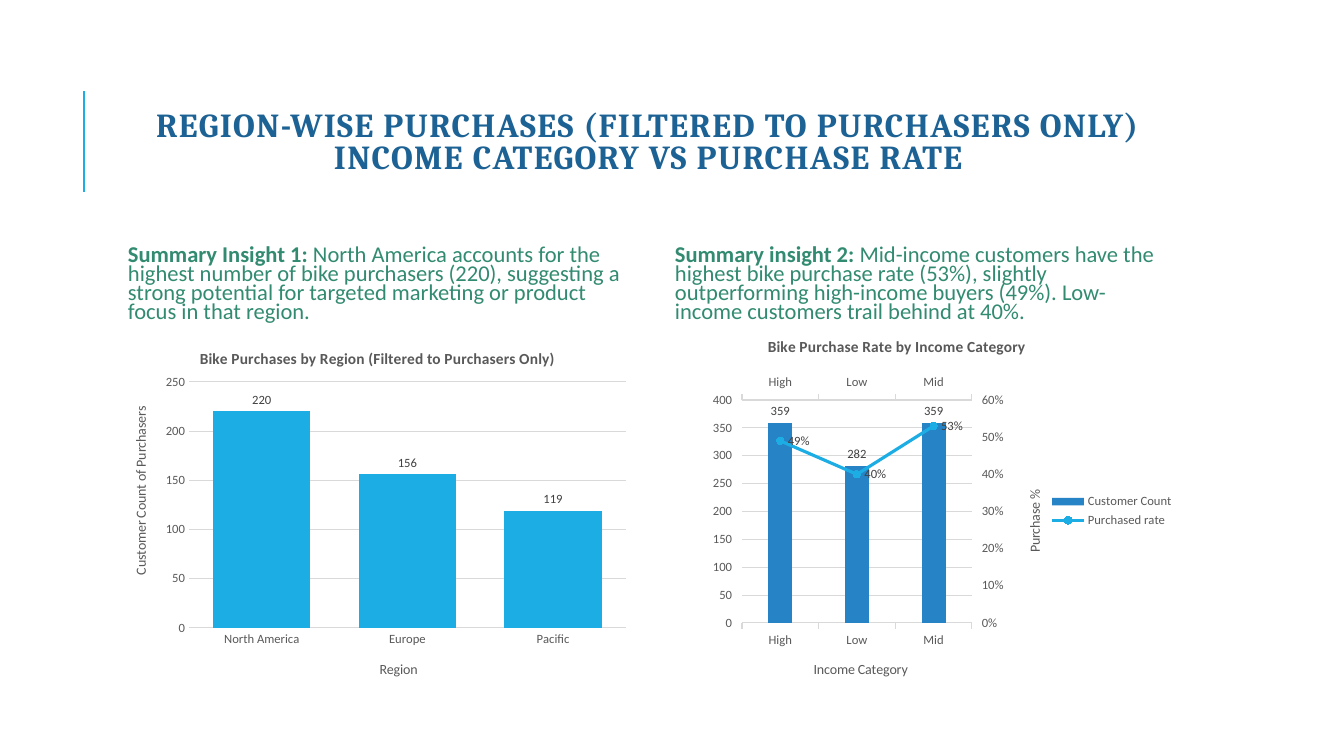
from copy import deepcopy
from pptx import Presentation
from pptx.chart.axis import CategoryAxis as CatAx, ValueAxis as ValAx
from pptx.chart.data import CategoryChartData as Data
from pptx.dml.color import RGBColor as RGB
from pptx.enum.chart import XL_CHART_TYPE as Kind, XL_LABEL_POSITION as Spot
from pptx.enum.chart import XL_LEGEND_POSITION as Side, XL_MARKER_STYLE as Mark
from pptx.enum.chart import XL_TICK_MARK as Tick
from pptx.enum.shapes import MSO_CONNECTOR as Line
from pptx.enum.text import MSO_ANCHOR as Anchor, PP_ALIGN as Align
from pptx.oxml import parse_xml
from pptx.oxml.ns import nsdecls, qn
from pptx.util import Emu, Pt

COLORS = {"sky": "1CADE4", "blue": "2683C6", "navy": "1D6294", "green": "328B71",
          "gray": "595959", "dark": "404040", "grid": "D9D9D9", "black": "000000"}
SCALE = 914400 / 100.8


def px(n):
    return Emu(round(n * SCALE))


def rgb(name):
    return RGB.from_string(COLORS[name])


def style(font, size, color, bold=False, face="Calibri"):
    font.size, font.bold, font.name = Pt(size), bold, face
    font.color.rgb = rgb(color)


def stroke(line, color, width):
    line.color.rgb = rgb(color)
    line.width = Pt(width)


def text_box(slide, box, side=10, foot=5):
    frame = slide.shapes.add_textbox(*map(px, box)).text_frame
    frame.word_wrap = True
    frame.vertical_anchor = Anchor.MIDDLE
    frame.margin_left = frame.margin_right = px(side)
    frame.margin_top, frame.margin_bottom = px(5), px(foot)
    return frame


def header(slide, box):
    x, y, w, h = box
    bar = slide.shapes.add_connector(Line.STRAIGHT, *map(px, (x - 29, y + 128, x - 29, y + 27)))
    stroke(bar.line, "sky", 1.5)
    bar._element.spPr.append(parse_xml(f"<a:effectLst {nsdecls('a')}/>"))
    para = text_box(slide, box, foot=11).paragraphs[0]
    para.text = ("REGION-WISE PURCHASES (FILTERED TO PURCHASERS ONLY)\v"
                 "INCOME CATEGORY VS PURCHASE RATE")
    para.alignment, para.line_spacing = Align.CENTER, 0.8
    style(para.font, 24, "navy", True, "Cambria")
    para._p.pPr.find(qn("a:defRPr")).set("spc", "100")


def insight(slide, box, lead, body):
    para = text_box(slide, box, side=15).paragraphs[0]
    para.line_spacing = 0.7
    for words, bold in ((lead, True), (body, False)):
        run = para.add_run()
        run.text = words
        style(run.font, 16.1, "green", bold)


def layout(node, box, **parts):
    old = node.find(qn("c:layout"))
    if old is not None:
        node.remove(old)
    target = '<c:layoutTarget val="inner"/>' if "w" in parts else ""
    modes = "".join(f'<c:{k}Mode val="edge"/>' for k in parts if k in "xy")
    spots = "".join(f'<c:{k} val="{v / box[2 if k in "xw" else 3]:.4f}"/>'
                    for k, v in parts.items())
    new = parse_xml(f"<c:layout {nsdecls('c')}><c:manualLayout>{target}{modes}{spots}"
                    "</c:manualLayout></c:layout>")
    text = node.find(qn("c:tx"))
    if text is None:
        node.insert(0, new)
    else:
        text.addnext(new)


def label(title, box, words, x, y, size=10, bold=False, turn=False):
    frame = title.text_frame
    frame.text = words
    style(frame.paragraphs[0].font, size, "gray", bold)
    if turn:
        frame._txBody.find(qn("a:bodyPr")).set("rot", "-5400000")
    layout(title._element, box, x=x, y=y)


def axis(ax, tick, grid=False):
    ax.major_tick_mark, ax.minor_tick_mark = tick, Tick.NONE
    ax.has_major_gridlines = grid
    style(ax.tick_labels.font, 9, "gray")


def span(ax, top, step, form="0"):
    ax.minimum_scale, ax.maximum_scale, ax.major_unit = 0, top, step
    ax.tick_labels.number_format = form
    ax.tick_labels.number_format_is_linked = False
    ax.format.line.fill.background()


def labels(series, spot, form="0"):
    tags = series.data_labels
    tags.show_value = True
    tags.number_format, tags.number_format_is_linked = form, False
    tags.position = spot
    style(tags.font, 9, "dark")


def columns(slide, box, cats, rows, color, gap, lap, tick, top, plot):
    data = Data()
    data.categories = cats
    for name, vals, form in rows:
        data.add_series(name, vals, form)
    chart = slide.shapes.add_chart(Kind.COLUMN_CLUSTERED, *map(px, box), data).chart
    chart.has_legend = False
    style(chart.font, 10, "black")
    bars = chart.plots[0]
    bars.gap_width, bars.overlap, bars.vary_by_categories = gap, lap, False
    first = bars.series[0]
    first.format.fill.solid()
    first.format.fill.fore_color.rgb = rgb(color)
    labels(first, Spot.OUTSIDE_END)
    axis(chart.category_axis, tick)
    stroke(chart.category_axis.format.line, "grid", 0.75)
    axis(chart.value_axis, tick, True)
    stroke(chart.value_axis.major_gridlines.format.line, "grid", 0.75)
    span(chart.value_axis, top, 50)
    layout(chart._chartSpace.chart.plotArea, box, **dict(zip("xywh", plot)))
    return chart


def regions(slide, box):
    chart = columns(slide, box, ("North America", "Europe", "Pacific"),
                    [("Series 1", (220, 156, 119), "0")], "sky", 50, -27,
                    Tick.NONE, 250, (76, 55, 437, 246))
    label(chart.chart_title, box, "Bike Purchases by Region (Filtered to Purchasers Only)",
          84, 18, 11, True)
    label(chart.category_axis.axis_title, box, "Region", 264, 331)
    label(chart.value_axis.axis_title, box, "Customer Count of Purchasers", 16, 77, turn=True)


def join(node, own, other):
    node.find(qn("c:axId")).set("val", own)
    node.find(qn("c:crossAx")).set("val", other)
    node.find(qn("c:crosses")).set("val", "max")


def add_rate(chart):
    area = chart._chartSpace.chart.plotArea
    cat, val = chart.category_axis._element, chart.value_axis._element
    bars = area.find(qn("c:barChart"))
    row = bars.findall(qn("c:ser"))[1]
    for flag in row.findall(qn("c:invertIfNegative")):
        row.remove(flag)
    lines = parse_xml(f'<c:lineChart {nsdecls("c")}><c:grouping val="standard"/>'
                      '<c:varyColors val="0"/><c:marker val="1"/>'
                      '<c:axId val="5001"/><c:axId val="5002"/></c:lineChart>')
    lines.insert(2, row)
    bars.addnext(lines)
    top, right = deepcopy(cat), deepcopy(val)
    join(top, "5001", "5002")
    join(right, "5002", "5001")
    val.addnext(right)
    right.addnext(top)
    top.find(qn("c:axPos")).set("val", "t")
    right.find(qn("c:axPos")).set("val", "r")
    axis(CatAx(top), Tick.OUTSIDE)
    rate = ValAx(right)
    axis(rate, Tick.OUTSIDE)
    span(rate, 0.6, 0.1, "0%")
    series = chart.plots[1].series[0]
    series.smooth = False
    stroke(series.format.line, "sky", 2.25)
    dot = series.marker
    dot.style, dot.size = Mark.CIRCLE, 5
    dot.format.fill.solid()
    dot.format.fill.fore_color.rgb = rgb("sky")
    stroke(dot.format.line, "sky", 0.75)
    labels(series, Spot.RIGHT, "0%")
    return rate


def income(slide, box):
    chart = columns(slide, box, ("High", "Low", "Mid"),
                    [("Customer Count", (359, 282, 359), "0"),
                     ("Purchased rate", (0.49, 0.4, 0.53), "0%")], "blue", 219, 0,
                    Tick.OUTSIDE, 400, (82, 73, 230, 223))
    rate = add_rate(chart)
    label(chart.chart_title, box, "Bike Purchase Rate by Income Category", 105, 6, 11, True)
    label(chart.category_axis.axis_title, box, "Income Category", 151, 331)
    label(chart.value_axis.axis_title, box, "Customer Count", 10, 148, turn=True)
    label(rate.axis_title, box, "Purchase %", 363, 160, turn=True)
    chart.has_legend = True
    chart.legend.position = Side.RIGHT
    chart.legend.include_in_layout = False
    style(chart.legend.font, 9, "gray")


def main():
    deck = Presentation()
    deck.slide_width, deck.slide_height = px(1344), px(756)
    slide = deck.slides.add_slide(deck.slide_layouts[6])
    header(slide, (113, 64, 1071, 166))
    halves = (
        (113, regions, "Summary Insight 1: ",
         "North America accounts for the highest number of bike purchasers (220), suggesting "
         "a strong potential for targeted marketing or product focus in that region."),
        (660, income, "Summary insight 2: ",
         "Mid-income customers have the highest bike purchase rate (53%), slightly "
         "outperforming high-income buyers (49%). Low-income customers trail behind at 40%."))
    for left, draw, lead, body in halves:
        insight(slide, (left, 240, 524, 91), lead, body)
        draw(slide, (left, 327, 524, 368))
    deck.save("out.pptx")


if __name__ == "__main__":
    main()
